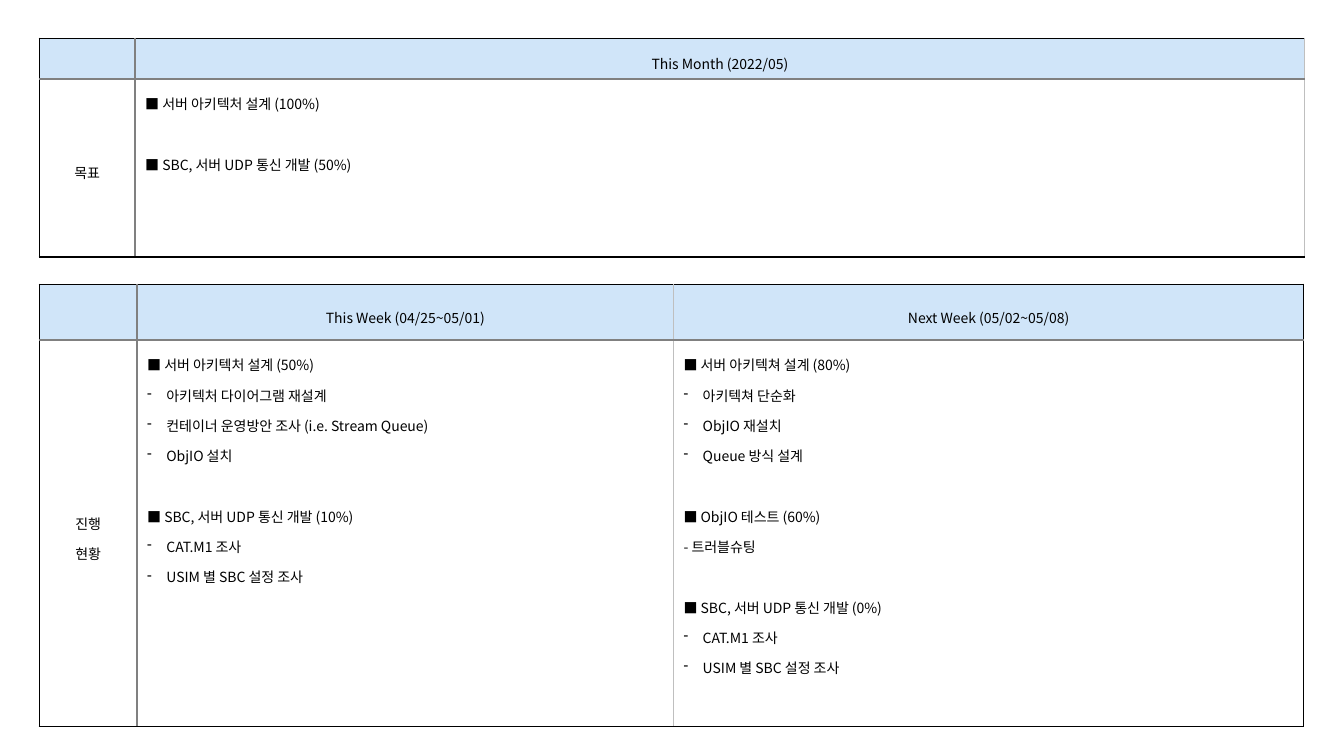
from lxml import etree
from pptx import Presentation
from pptx.dml.color import RGBColor
from pptx.enum.text import MSO_ANCHOR, PP_ALIGN
from pptx.oxml.ns import qn
from pptx.util import Inches, Pt

CENTER, LEFT = PP_ALIGN.CENTER, PP_ALIGN.LEFT
MIDDLE, TOP = MSO_ANCHOR.MIDDLE, MSO_ANCHOR.TOP
FONT, SIZE, PITCH = "Noto Sans CJK KR", 10, 21.7
INDENT = Inches(0.19)
COLORS = {"head": "D0E5F9", "body": "FFFFFF", "ink": "000000",
          "grey": "808080", "pale": "BFBFBF"}
EDGE, RULE, THIN = ("ink", 1), ("grey", 1.5), ("pale", 1)

# A cell is a list of groups; a group is a heading and its items.
WEEK = {
    "top": 2.82, "cols": [0.97, 5.32, 6.25], "rows": [0.55, 3.84],
    "sides": [EDGE, RULE, THIN, EDGE],
    "cells": [
        [[], [["This Week (04/25~05/01)"]], [["Next Week (05/02~05/08)"]]],
        [[["진행"], ["현황"]],
         [["■ 서버 아키텍처 설계 (50%)", "아키텍처 다이어그램 재설계",
           "컨테이너 운영방안 조사 (i.e. Stream Queue)", "ObjIO 설치"],
          ["■ SBC, 서버 UDP 통신 개발 (10%)", "CAT.M1 조사",
           "USIM 별 SBC 설정 조사"]],
         [["■ 서버 아키텍쳐 설계 (80%)", "아키텍쳐 단순화",
           "ObjIO 재설치", "Queue 방식 설계"],
          ["■ ObjIO 테스트 (60%)", "- 트러블슈팅"],
          ["■ SBC, 서버 UDP 통신 개발 (0%)", "CAT.M1 조사",
           "USIM 별 SBC 설정 조사"]]],
    ],
}
MONTH = {
    "top": 0.38, "cols": [0.95, 11.6], "rows": [0.4, 1.77],
    "sides": [EDGE, RULE, THIN],
    "cells": [
        [[], [["This Month (2022/05)"]]],
        [[["목표"]],
         [["■ 서버 아키텍처 설계 (100%)"],
          ["■ SBC, 서버 UDP 통신 개발 (50%)"]]],
    ],
}
LEVELS = [EDGE, RULE, EDGE]


def border(cell, edges):
    """Draw the left, right, top and bottom lines of a cell."""
    props = cell._tc.get_or_add_tcPr()
    for spot, (side, (color, width)) in enumerate(zip("LRTB", edges)):
        line = etree.Element(qn(f"a:ln{side}"), w=str(Pt(width)))
        fill = etree.SubElement(line, qn("a:solidFill"))
        etree.SubElement(fill, qn("a:srgbClr"), val=COLORS[color])
        props.insert(spot, line)


def write(para, text, align):
    """Add one line of text to a paragraph."""
    para.alignment, para.line_spacing = align, 1.5
    run = para.add_run()
    run.text = text
    font = run.font
    font.size, font.name = Pt(SIZE), FONT
    font.color.rgb = RGBColor.from_string(COLORS["ink"])
    etree.SubElement(run._r.get_or_add_rPr(), qn("a:ea"), typeface=FONT)


def bullet(para):
    """Give a paragraph a hanging dash."""
    props = para._p.get_or_add_pPr()
    props.set("marL", str(INDENT))
    props.set("indent", str(-INDENT))
    etree.SubElement(props, qn("a:buChar"), char="-")


def fill_cell(cell, groups, is_list):
    """Write the groups of a cell, with a gap between those of a list."""
    cell.vertical_anchor = TOP if is_list else MIDDLE
    if not groups:
        cell.margin_top = cell.margin_bottom = 0
    frame = cell.text_frame
    for g, group in enumerate(groups):
        for i, text in enumerate(group):
            para = frame.add_paragraph() if g or i else frame.paragraphs[0]
            write(para, text, LEFT if is_list else CENTER)
            if i and not text.startswith("-"):
                bullet(para)
            if is_list and g and not i:
                para.space_before = Pt(PITCH)


def build(slide, plan):
    """Add one report table."""
    cols, rows, sides = plan["cols"], plan["rows"], plan["sides"]
    table = slide.shapes.add_table(
        len(rows), len(cols), Inches(0.39), Inches(plan["top"]),
        Inches(sum(cols)), Inches(sum(rows))).table
    table.first_row = table.horz_banding = False
    for col, width in zip(table.columns, cols):
        col.width = Inches(width)
    for r, line in enumerate(plan["cells"]):
        table.rows[r].height = Inches(rows[r])
        for c, groups in enumerate(line):
            cell = table.cell(r, c)
            cell.fill.solid()
            tone = COLORS["body" if r else "head"]
            cell.fill.fore_color.rgb = RGBColor.from_string(tone)
            border(cell, sides[c:c + 2] + LEVELS[r:r + 2])
            fill_cell(cell, groups, r > 0 and c > 0)


deck = Presentation()
deck.slide_width, deck.slide_height = Inches(13.33), Inches(7.5)
page = deck.slides.add_slide(deck.slide_layouts[6])
for plan in (WEEK, MONTH):
    build(page, plan)
deck.save("out.pptx")
